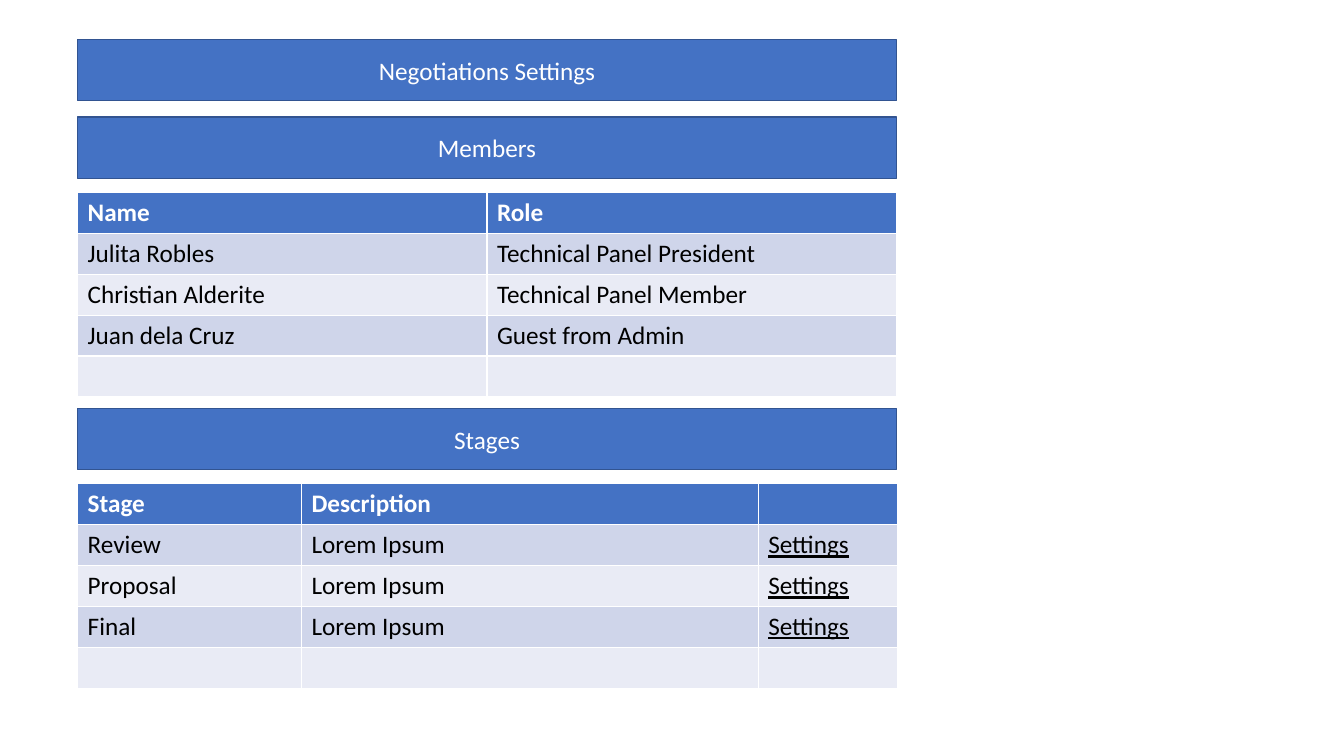
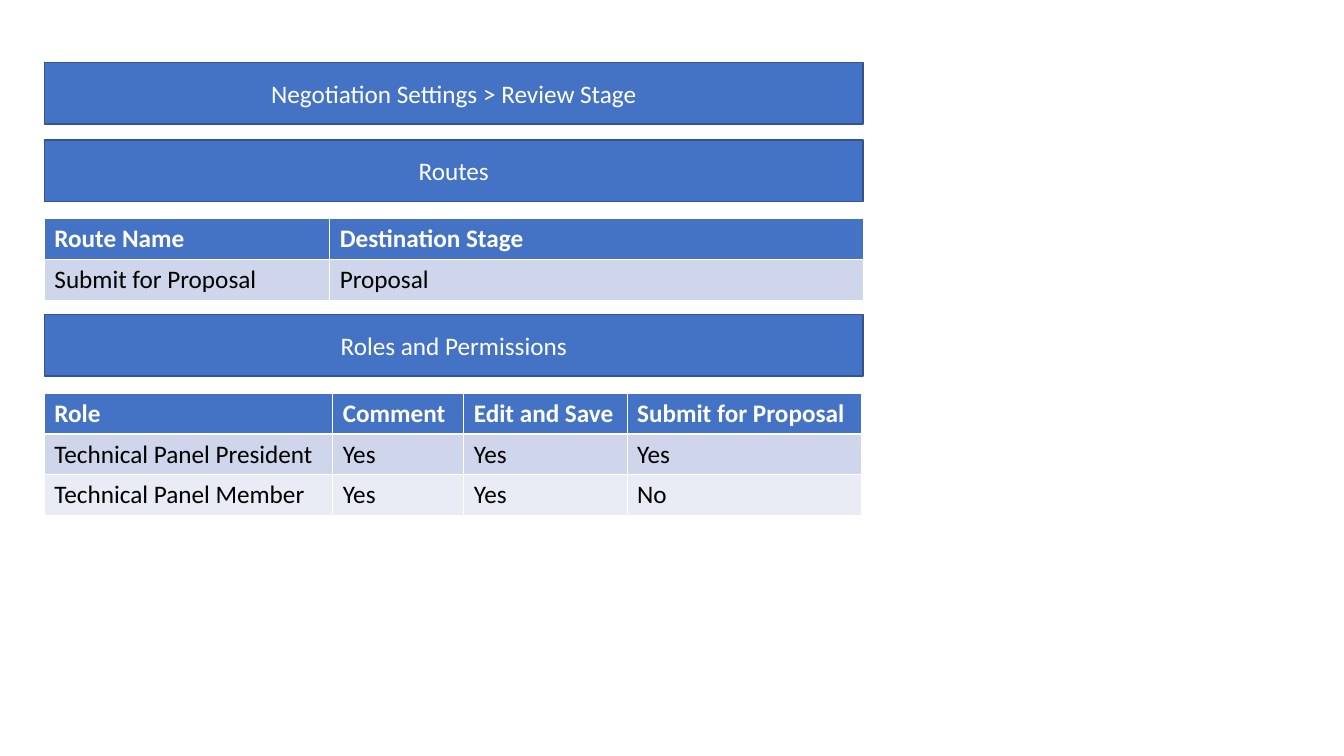
from pptx import Presentation
from pptx.dml.color import RGBColor
from pptx.enum.shapes import MSO_SHAPE
from pptx.enum.text import MSO_ANCHOR, PP_ALIGN
from pptx.util import Inches, Pt

RECT = MSO_SHAPE.RECTANGLE
MIDDLE = MSO_ANCHOR.MIDDLE
CENTER = PP_ALIGN.CENTER

FONT = "Calibri"
SIZE = 18
BLUE = "4472C4"
EDGE = "325491"
WHITE = "FFFFFF"
BLACK = "000000"
BANDS = ("E9EBF5", "CFD5EA")

WIDTH = 8.12
BAR = 0.61
STEP = 0.77
ROW = 0.4
LINK = "Settings"


def color(code):
    return RGBColor.from_string(code)


def paint(item, code):
    item.fill.solid()
    item.fill.fore_color.rgb = color(code)


def write(frame, text, code, bold=False):
    para = frame.paragraphs[0]
    para.text = text
    font = para.font
    font.name = FONT
    font.size = Pt(SIZE)
    font.bold = bold
    font.color.rgb = color(code)
    return para


def add_bar(slide, left, top, text):
    bar = slide.shapes.add_shape(
        RECT, Inches(left), Inches(top), Inches(WIDTH), Inches(BAR))
    bar.shadow.inherit = False
    paint(bar, BLUE)
    bar.line.color.rgb = color(EDGE)
    bar.line.width = Pt(1)
    bar.text_frame.vertical_anchor = MIDDLE
    write(bar.text_frame, text, WHITE).alignment = CENTER


def add_grid(slide, left, top, widths, rows):
    grid = slide.shapes.add_table(
        len(rows), len(widths), Inches(left), Inches(top),
        Inches(sum(widths)), Inches(ROW * len(rows))).table
    for col, width in zip(grid.columns, widths):
        col.width = Inches(width)
    for r, row in enumerate(rows):
        head = r == 0
        for c, text in enumerate(row):
            cell = grid.cell(r, c)
            paint(cell, BLUE if head else BANDS[r % 2])
            if text:
                para = write(cell.text_frame, text,
                             WHITE if head else BLACK, head)
                if text == LINK:
                    para.font.underline = True


def add_page(deck, left, top, title, gap, parts):
    slide = deck.slides.add_slide(deck.slide_layouts[6])
    add_bar(slide, left, top, title)
    for start, name, widths, rows in parts:
        add_bar(slide, left, start, name)
        add_grid(slide, left, start + gap, widths, rows)


def main():
    deck = Presentation()
    deck.slide_width = Inches(13.33)
    deck.slide_height = Inches(7.5)

    members = [
        ("Name ", "Role"),
        ("Julita Robles", "Technical Panel President"),
        ("Christian Alderite", "Technical Panel Member"),
        ("Juan dela Cruz", "Guest from Admin"),
        ("", ""),
    ]
    stages = [("Stage", "Description", "")]
    stages += [(name, "Lorem Ipsum", LINK)
               for name in ("Review", "Proposal", "Final")]
    stages.append(("", "", ""))
    top = 0.39
    add_page(deck, 0.77, top, "Negotiations Settings", 0.75, [
        (top + STEP, "Members", (4.06, 4.06), members),
        (4.05, "Stages", (2.22, 4.53, 1.38), stages),
    ])

    routes = [
        ("Route Name", "Destination Stage"),
        ("Submit for Proposal", "Proposal"),
    ]
    roles = [
        ("Role", "Comment", "Edit and Save", "Submit for Proposal"),
        ("Technical Panel President", "Yes", "Yes", "Yes"),
        ("Technical Panel Member", "Yes", "Yes", "No"),
    ]
    top = 0.62
    add_page(deck, 0.44, top, "Negotiation Settings > Review Stage", 0.78, [
        (top + STEP, "Routes", (2.83, 5.3), routes),
        (3.12, "Roles and Permissions", (2.86, 1.3, 1.62, 2.33), roles),
    ])

    deck.save("out.pptx")


main()
